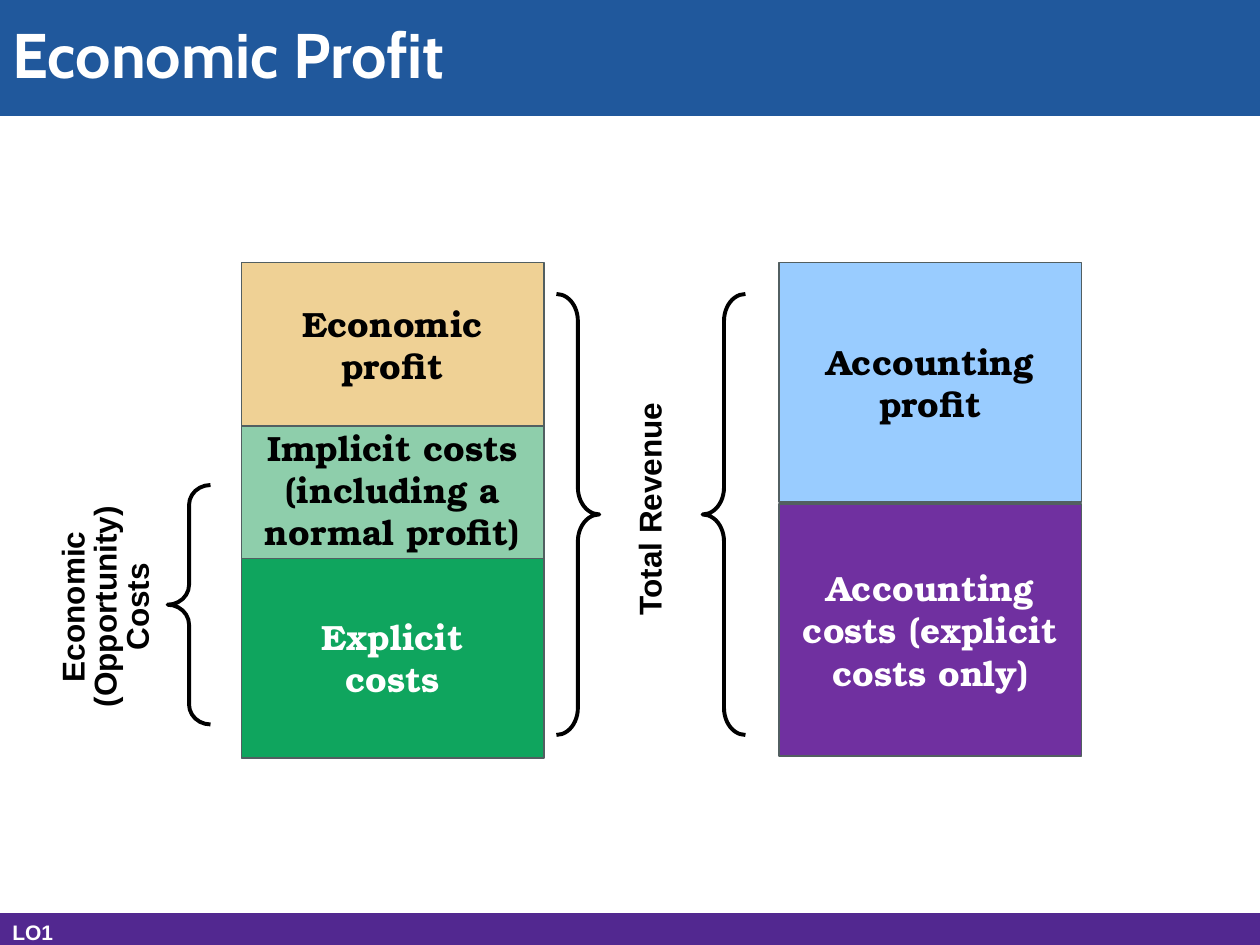
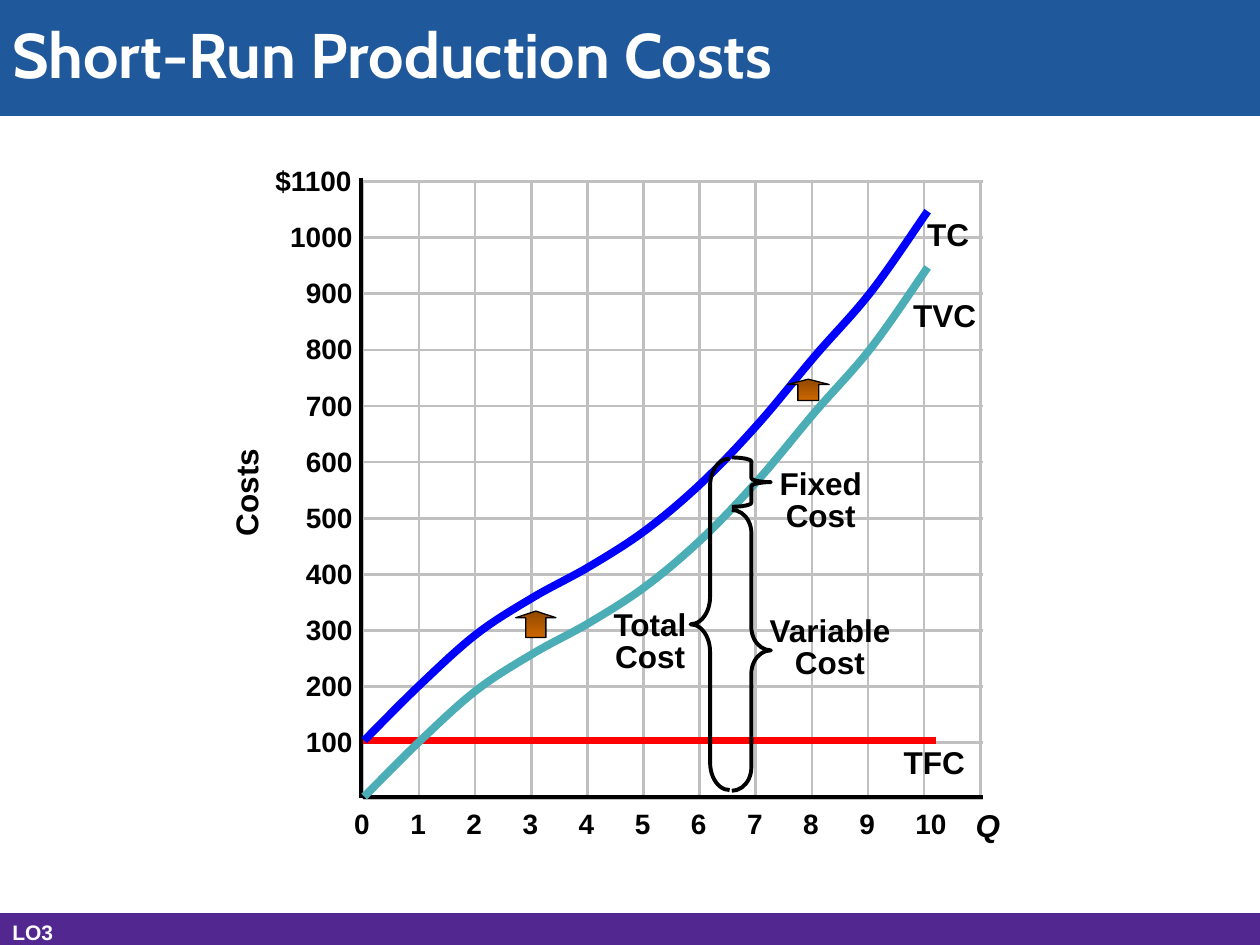
import dataclasses

import lxml.etree
import pptx
import pptx.dml.color
import pptx.enum.shapes
import pptx.enum.text
import pptx.oxml.ns
import pptx.util

Pt = pptx.util.Pt
qn = pptx.oxml.ns.qn
Shape = pptx.enum.shapes.MSO_SHAPE
Align = pptx.enum.text.PP_ALIGN


@dataclasses.dataclass(frozen=True)
class Theme:
    title_font: str = "Cabin"
    label_font: str = "Arial"
    block_font: str = "TeX Gyre Bonum"
    title_size: int = 36
    block_size: int = 20
    label_size: int = 18
    tick_size: int = 16
    footer_size: int = 12
    white: str = "FFFFFF"
    black: str = "000000"
    title_band: str = "20589C"
    footer_band: str = "522890"
    block_edge: str = "525F61"
    grid: str = "C0C0C0"
    fixed: str = "FF0000"
    variable: str = "4BADB5"
    total: str = "0000FF"
    arrow_top: str = "924900"
    arrow_bottom: str = "CC6600"


THEME = Theme()
WIDTH, HEIGHT = 720, 540
TITLE_BAND = (0, 0, WIDTH, 66)
FOOTER_BAND = (0, 522, WIDTH, 18)

# Profit stacks: left edge, then blocks from bottom to top (text, top, height, fill, text colour)
BLOCK_WIDTH = 172.8
STACKS = [
    (138, [
        ("Explicit\ncosts", 318.3, 115, "0FA55E", THEME.white),
        ("Implicit costs (including a normal profit)", 240, 79.2, "8ECEAB", THEME.black),
        ("Economic\nprofit", 150, 93.5, "EFD195", THEME.black),
    ]),
    (445.2, [
        ("Accounting costs (explicit costs only)", 288, 144, "7030A0", THEME.white),
        ("Accounting profit", 150, 136.8, "99CCFF", THEME.black),
    ]),
]
# Braces: shape, box, curl
PROFIT_BRACES = [
    (Shape.LEFT_BRACE, (95.8, 277.2, 24.5, 136.8), 0.465),
    (Shape.LEFT_BRACE, (401.5, 168, 24.5, 252), 0.63),
    (Shape.RIGHT_BRACE, (318, 168, 24.5, 252), 0.63),
]
COST_BRACES = [
    (Shape.LEFT_BRACE, (394.6, 262.1, 22.3, 189.4), 0.706),
    (Shape.RIGHT_BRACE, (418.2, 291.4, 22.3, 160.5), 0.597),
    (Shape.RIGHT_BRACE, (418.2, 261.4, 22.3, 28.2), 0.106),
]
# Labels: text, centre x, centre y, width, format
TIGHT = {"spacing": 0.85}
UPRIGHT = {"rotation": 270}
PROFIT_LABELS = [
    ("Economic\n(Opportunity)\nCosts", 61.2, 346.7, 129.6, UPRIGHT | TIGHT),
    ("Total Revenue", 372.6, 290.9, 137.5, UPRIGHT | TIGHT),
]
COST_LABELS = [
    ("Costs", 140.4, 281.5, 64.8, UPRIGHT),
    ("Q", 564.5, 471.6, 28.8, {"italic": True}),
    ("TFC", 533.9, 435.6, 50.5, {}),
    ("TC", 541.8, 133.9, 42, {}),
    ("TVC", 539.8, 179.7, 52, {}),
    ("Total\nCost", 371.5, 367.6, 57.6, TIGHT),
    ("Variable\nCost", 474.3, 370.9, 84.2, TIGHT),
    ("Fixed\nCost", 469, 286.9, 61.2, TIGHT),
]
SHIFT_ARROWS = [(294.7, 349.2, 23, 15.1), (450, 216.7, 23.8, 12.2)]

FIXED_COST = 100
VARIABLE_COSTS = [0, 100, 190, 255, 310, 375, 460, 565, 685, 800, 943]
GRID_LEFT, GRID_TOP, GRID_STEP, GRID_COUNT = 207.4, 103.7, 32.07, 11
GRID_END = GRID_STEP * GRID_COUNT
GRID_RIGHT, GRID_BOTTOM = GRID_LEFT + GRID_END, GRID_TOP + GRID_END
AXIS_BOTTOM = 455.2
CURVE_LEFT, CURVE_STEP = 208.1, 32.2
X_TICK_LEFT, X_TICK_CENTRE = 195.2, 470.5
Y_TICK_RIGHT = 208.6


def rgb(color):
    return pptx.dml.color.RGBColor.from_string(color)


def apply(target, values):
    for name, value in values.items():
        setattr(target, name, value)


def write(frame, text, font, size, color, align=Align.CENTER, spacing=1.0, italic=False):
    frame.text = text
    frame.vertical_anchor = pptx.enum.text.MSO_ANCHOR.MIDDLE
    for para in frame.paragraphs:
        apply(para, {"alignment": align, "line_spacing": spacing})
        for span in para.runs:
            apply(span.font, {"name": font, "size": Pt(size), "bold": True, "italic": italic})
            span.font.color.rgb = rgb(color)


def outline(item, color, width):
    item.line.color.rgb = rgb(color)
    item.line.width = Pt(width)


def add_shape(page, kind, box, fill=None, edge=THEME.black, width=1.0):
    shape = page.shapes.add_shape(kind, *map(Pt, box))
    shape.shadow.inherit = False
    if fill:
        shape.fill.solid()
        shape.fill.fore_color.rgb = rgb(fill)
    else:
        shape.fill.background()
    outline(shape, edge, width)
    return shape


def add_label(page, text, x, y, width, size=THEME.label_size, color=THEME.black,
              rotation=0, spacing=1.0, italic=False):
    """Place unwrapped text around the centre x, y."""
    height = 7.2 + size * 1.2 * spacing * (text.count("\n") + 1)
    box = page.shapes.add_textbox(*map(Pt, (x - width / 2, y - height / 2, width, height)))
    box.rotation = rotation
    apply(box.text_frame, {"word_wrap": False,
                           "auto_size": pptx.enum.text.MSO_AUTO_SIZE.SHAPE_TO_FIT_TEXT})
    write(box.text_frame, text, THEME.label_font, size, color, spacing=spacing, italic=italic)


def tick_width(text):
    return 14.4 + 8.9 * len(text)


def add_tick(page, text, x, y):
    add_label(page, text, x, y, tick_width(text), THEME.tick_size)


def add_line(page, start, end, color, width):
    line = page.shapes.add_connector(pptx.enum.shapes.MSO_CONNECTOR.STRAIGHT,
                                     *map(Pt, (*start, *end)))
    outline(line, color, width)
    lxml.etree.SubElement(line._element.spPr, qn("a:effectLst"))


def add_braces(page, braces):
    for kind, box, curl in braces:
        add_shape(page, kind, box, width=2.25).adjustments[0] = curl


def add_labels(page, labels):
    for text, x, y, width, values in labels:
        add_label(page, text, x, y, width, **values)


def start_page(deck, title, objective):
    page = deck.slides.add_slide(deck.slide_layouts[5])
    band = add_shape(page, Shape.RECTANGLE, TITLE_BAND, THEME.title_band, THEME.title_band, 0.75)
    holder = page.shapes.title
    holder._element.addprevious(band._element)
    apply(holder, dict(zip(("left", "top", "width", "height"), map(Pt, TITLE_BAND))))
    holder.text_frame.auto_size = pptx.enum.text.MSO_AUTO_SIZE.NONE
    write(holder.text_frame, title, THEME.title_font, THEME.title_size, THEME.white,
          Align.LEFT, 0.9)
    add_shape(page, Shape.RECTANGLE, FOOTER_BAND, THEME.footer_band, THEME.footer_band, 0.75)
    add_label(page, objective, 18.7, 532.8, 38.2, THEME.footer_size, THEME.white)
    return page


def smooth(curve):
    """Turn the straight segments of a freeform into cubic curves through the same knots."""
    knots = [(int(knot.get("x")), int(knot.get("y"))) for knot in curve._element.iter(qn("a:pt"))]
    segments = list(curve._element.iter(qn("a:lnTo")))
    last = len(knots) - 1
    for index, segment in enumerate(segments):
        before, start = knots[max(index - 1, 0)], knots[index]
        end, after = knots[index + 1], knots[min(index + 2, last)]
        leave = [b + (c - a) / 6 for a, b, c in zip(before, start, end)]
        arrive = [c - (d - b) / 6 for b, c, d in zip(start, end, after)]
        segment.clear()
        bend = lxml.etree.SubElement(segment.getparent(), qn("a:cubicBezTo"))
        segment.getparent().remove(segment)
        for x, y in (leave, arrive, end):
            lxml.etree.SubElement(bend, qn("a:pt"), x=str(round(x)), y=str(round(y)))


def add_curve(page, costs, color):
    points = [(Pt(CURVE_LEFT + CURVE_STEP * quantity), Pt(AXIS_BOTTOM - GRID_STEP * cost / 100))
              for quantity, cost in enumerate(costs)]
    builder = page.shapes.build_freeform(*points[0])
    builder.add_line_segments(points[1:], close=False)
    curve = builder.convert_to_shape()
    smooth(curve)
    curve.shadow.inherit = False
    curve.fill.background()
    outline(curve, color, 4.5)


def add_grid(page):
    for index in range(GRID_COUNT + 1):
        x, y = GRID_LEFT + GRID_STEP * index, GRID_BOTTOM - GRID_STEP * index
        add_line(page, (x, GRID_TOP - 1), (x, GRID_BOTTOM), THEME.grid, 1.5)
        add_line(page, (GRID_LEFT, y), (GRID_RIGHT + 1.4, y), THEME.grid, 1.5)
        if index < GRID_COUNT:
            text = str(index)
            left = X_TICK_LEFT + GRID_STEP * index
            add_tick(page, text, left + tick_width(text) / 2, X_TICK_CENTRE)
        if index:
            text = f"{'$' if index == GRID_COUNT else ''}{index * 100}"
            add_tick(page, text, Y_TICK_RIGHT - tick_width(text) / 2, y - 0.6)
    add_line(page, (GRID_LEFT, AXIS_BOTTOM), (GRID_RIGHT + 1.4, AXIS_BOTTOM), THEME.black, 2.25)
    add_line(page, (206.5, 101.5), (206.5, AXIS_BOTTOM + 0.8), THEME.black, 2.25)


def add_shift_arrow(page, box):
    arrow = add_shape(page, Shape.UP_ARROW, box, width=0.75)
    arrow.adjustments[0], arrow.adjustments[1] = 0.5, 0.25
    arrow.fill.gradient()
    arrow.fill.gradient_angle = 270
    stops = zip(arrow.fill.gradient_stops, (THEME.arrow_top, THEME.arrow_bottom), (0, 1))
    for stop, color, position in stops:
        stop.color.rgb = rgb(color)
        stop.position = position


def build_profit_page(deck):
    page = start_page(deck, "Economic Profit", "LO1")
    for left, blocks in STACKS:
        for text, top, height, fill, color in blocks:
            block = add_shape(page, Shape.RECTANGLE, (left, top, BLOCK_WIDTH, height),
                              fill, THEME.block_edge)
            block.text_frame.word_wrap = True
            write(block.text_frame, text, THEME.block_font, THEME.block_size, color)
    add_braces(page, PROFIT_BRACES)
    add_labels(page, PROFIT_LABELS)


def build_cost_page(deck):
    page = start_page(deck, "Short-Run Production Costs", "LO3")
    add_grid(page)
    fixed_y = AXIS_BOTTOM - GRID_STEP * FIXED_COST / 100
    add_line(page, (GRID_LEFT, fixed_y), (535, fixed_y), THEME.fixed, 4.5)
    add_curve(page, VARIABLE_COSTS, THEME.variable)
    add_curve(page, [cost + FIXED_COST for cost in VARIABLE_COSTS], THEME.total)
    add_braces(page, COST_BRACES)
    add_labels(page, COST_LABELS)
    for box in SHIFT_ARROWS:
        add_shift_arrow(page, box)


def main():
    deck = pptx.Presentation()
    apply(deck, {"slide_width": Pt(WIDTH), "slide_height": Pt(HEIGHT)})
    build_profit_page(deck)
    build_cost_page(deck)
    deck.save("out.pptx")


if __name__ == "__main__":
    main()
